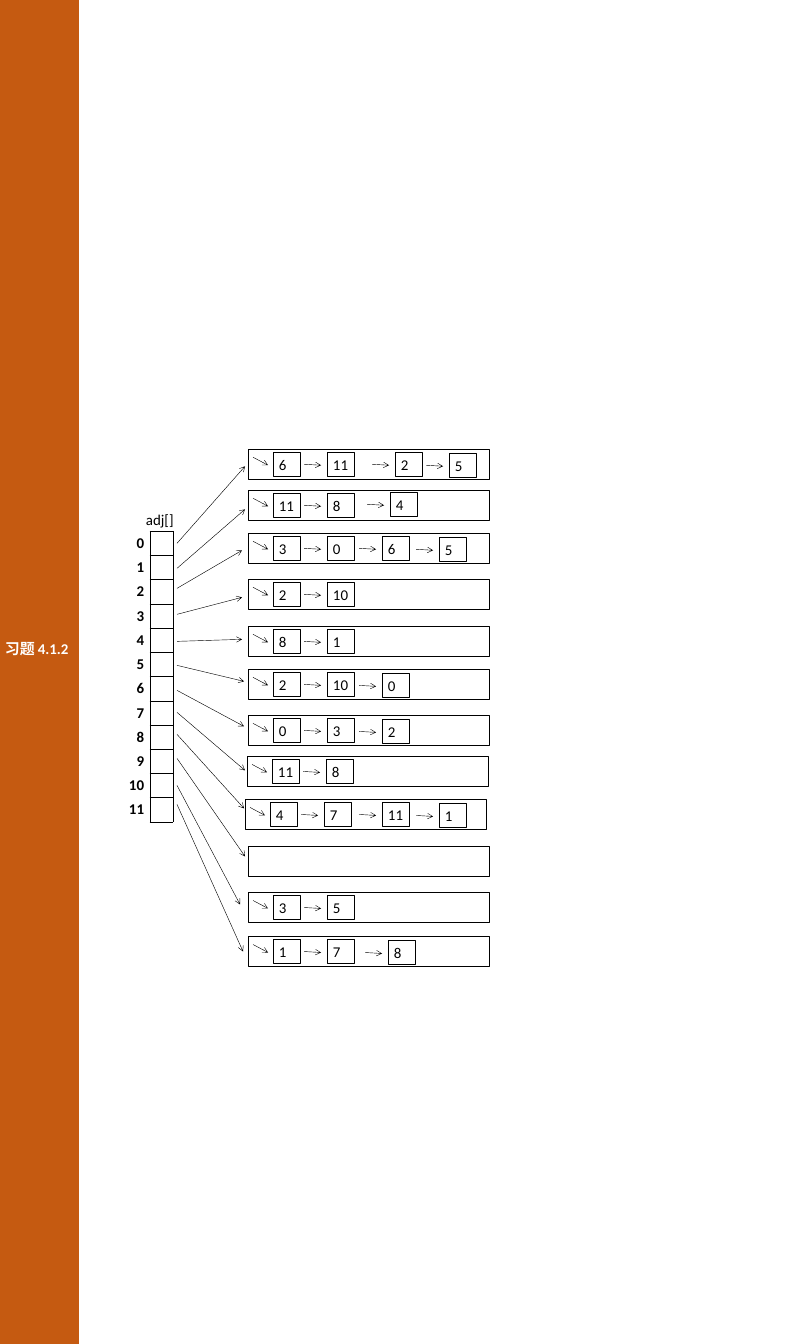
import dataclasses

import pptx
import pptx.dml.color
import pptx.enum.shapes
import pptx.enum.text
import pptx.oxml
import pptx.oxml.ns
import pptx.util


@dataclasses.dataclass(frozen=True)
class Theme:
    """Colours, font and sizes of the slide."""
    bar: str = "C55A11"
    paper: str = "FFFFFF"
    ink: str = "000000"
    font: str = "Calibri"
    size: float = 18
    box_line: float = 1
    node_line: float = 0.75
    arrow_line: float = 0.5


THEME = Theme()
SCALE = 914400 / 59.7
NO_STYLE = "{2D5ABB26-0587-4C30-8999-92F81FD0307C}"

LIST_LEFT, LIST_SIZE = 248, (241, 30)
NODE_SIZE = (27, 24)
NODE_OFFSETS = (25, 79, 134, 191)
POINTER_LEFT = 177
TABLE_TOP, TABLE_HEIGHT = 531, 287

# Per vertex: list top, pointer start y, pointer end (x, y), neighbours
VERTICES = [
    (449, 543, (245, 466), [6, 11, 2, 5]),
    (490, 568, (245, 509), [11, 8, 4]),
    (533, 588, (242, 550), [3, 0, 6, 5]),
    (579, 614, (242, 597), [2, 10]),
    (626, 641, (242, 639), [8, 1]),
    (669, 665, (244, 681), [2, 10, 0]),
    (715, 690, (244, 726), [0, 3, 2]),
    (756, 712, (245, 770), [11, 8]),
    (799, 734, (244, 808), [4, 7, 11, 1]),
    (846, 758, (245, 856), []),
    (892, 785, (240, 904), [3, 5]),
    (936, 804, (243, 951), [1, 7, 8]),
]
LIST_SHIFT = {7: -1, 8: -3}
# (vertex, position in list): offset from the list's left, vertical nudge
NODE_EXCEPTIONS = {
    (0, 2): (147, 0), (0, 3): (201, 1), (1, 2): (142, -1), (2, 3): (191, 1),
    (5, 2): (134, 1), (6, 2): (134, 1), (8, 2): (137, 0), (8, 3): (194, 1),
    (11, 2): (140, 1),
}


def px(n):
    """Turn pixels into EMU."""
    return pptx.util.Emu(round(n * SCALE))


def rgb(value):
    """Turn a hex string into a colour."""
    return pptx.dml.color.RGBColor.from_string(value)


def set_text(tf, text, color=THEME.ink, bold=False, align="LEFT"):
    """Write one formatted paragraph into a text frame."""
    p = tf.paragraphs[0]
    p.text = text
    p.alignment = pptx.enum.text.PP_ALIGN[align]
    p.font.name = THEME.font
    p.font.size = pptx.util.Pt(THEME.size)
    p.font.bold = bold
    p.font.color.rgb = rgb(color)


def set_frame(tf):
    """Anchor a frame at the top and let its text run to the right edge."""
    tf.word_wrap = True
    tf.auto_size = pptx.enum.text.MSO_AUTO_SIZE.NONE
    tf.vertical_anchor = pptx.enum.text.MSO_ANCHOR.TOP
    tf.margin_left, tf.margin_right = pptx.util.Inches(0.1), 0
    tf.margin_top = tf.margin_bottom = pptx.util.Inches(0.05)


def add_rect(s, x, y, w, h, fill=None, line=None):
    """Add a flat rectangle; line is a width in points."""
    kind = pptx.enum.shapes.MSO_SHAPE.RECTANGLE
    sp = s.shapes.add_shape(kind, px(x), px(y), px(w), px(h))
    sp.shadow.inherit = False
    if fill:
        sp.fill.solid()
        sp.fill.fore_color.rgb = rgb(fill)
    else:
        sp.fill.background()
    if line:
        sp.line.color.rgb = rgb(THEME.ink)
        sp.line.width = pptx.util.Pt(line)
    else:
        sp.line.fill.background()
    return sp


def add_label(s, x, y, w, h, text, **style):
    """Add a text box with one line of text."""
    sp = s.shapes.add_textbox(px(x), px(y), px(w), px(h))
    set_frame(sp.text_frame)
    set_text(sp.text_frame, text, **style)


def add_arrow(s, x1, y1, x2, y2):
    """Add a thin straight arrow."""
    kind = pptx.enum.shapes.MSO_CONNECTOR.STRAIGHT
    sp = s.shapes.add_connector(kind, px(x1), px(y1), px(x2), px(y2))
    sp.line.color.rgb = rgb(THEME.ink)
    sp.line.width = pptx.util.Pt(THEME.arrow_line)
    ns = pptx.oxml.ns.nsdecls("a")
    sp.line._get_or_add_ln().append(pptx.oxml.parse_xml(f'<a:tailEnd {ns} type="arrow"/>'))
    sp._element.spPr.append(pptx.oxml.parse_xml(f"<a:effectLst {ns}/>"))


def set_borders(cell):
    """Draw all four borders of a table cell."""
    ns = pptx.oxml.ns.nsdecls("a")
    tc_pr = cell._tc.get_or_add_tcPr()
    for i, side in enumerate(("lnL", "lnR", "lnT", "lnB")):
        tc_pr.insert(i, pptx.oxml.parse_xml(
            f'<a:{side} {ns} w="{pptx.util.Pt(THEME.box_line)}"><a:solidFill>'
            f'<a:srgbClr val="{THEME.ink}"/></a:solidFill></a:{side}>'))


def add_column(s, x, w, texts, bold=False, borders=False):
    """Add a one-column table with a row for each text."""
    frame = s.shapes.add_table(len(texts), 1, px(x), px(TABLE_TOP), px(w), px(TABLE_HEIGHT))
    table = frame.table
    table.first_row = table.horz_banding = False
    table._tbl.tblPr.find(pptx.oxml.ns.qn("a:tableStyleId")).text = NO_STYLE
    for i, text in enumerate(texts):
        table.rows[i].height = px(TABLE_HEIGHT / len(texts))
        cell = table.cell(i, 0)
        cell.fill.background()
        set_text(cell.text_frame, text, bold=bold, align="RIGHT")
        if borders:
            set_borders(cell)


def add_node(s, x, y, value):
    """Add one list node."""
    sp = add_rect(s, x, y, *NODE_SIZE, line=THEME.node_line)
    set_frame(sp.text_frame)
    set_text(sp.text_frame, str(value))


def add_list(s, vertex, top, neighbours):
    """Add the linked list of a vertex inside its box."""
    left = LIST_LEFT + LIST_SHIFT.get(vertex, 0)
    add_rect(s, left, top, *LIST_SIZE, fill=THEME.paper, line=THEME.box_line)
    for i, value in enumerate(neighbours):
        dx, dy = NODE_EXCEPTIONS.get((vertex, i), (NODE_OFFSETS[i], 0))
        x, y = left + dx, top + 3 + dy
        if i == 0:
            add_arrow(s, left + 5, top + 8, left + 20, top + 16)
        else:
            add_arrow(s, x - 23, y + 12, x - 6, y + 13)
        add_node(s, x, y, value)


def add_sidebar(s):
    """Add the coloured bar and put the title and number on it."""
    title = s.shapes.title
    bar = add_rect(s, -1, 0, 80, 1343.25, fill=THEME.bar)
    title._element.addprevious(bar._element)
    title.left, title.top, title.width, title.height = px(-1), px(636), px(91), px(24)
    set_frame(title.text_frame)
    set_text(title.text_frame, "习题", color=THEME.paper, bold=True)
    add_label(s, 32, 636, 50, 24, "4.1.2", color=THEME.paper, bold=True)


def main():
    """Build the adjacency-list slide."""
    prs = pptx.Presentation()
    prs.slide_width, prs.slide_height = pptx.util.Inches(13.33), pptx.util.Inches(22.5)
    s = prs.slides.add_slide(prs.slide_layouts[5])
    add_sidebar(s)
    add_label(s, 140, 507, 42, 24, "adj[]")
    add_column(s, 150, 23, [""] * len(VERTICES), borders=True)
    add_column(s, 122, 28, [str(v) for v in range(len(VERTICES))], bold=True)
    for vertex, (top, start_y, end, neighbours) in enumerate(VERTICES):
        add_arrow(s, POINTER_LEFT, start_y, *end)
        add_list(s, vertex, top, neighbours)
    prs.save("out.pptx")


main()
